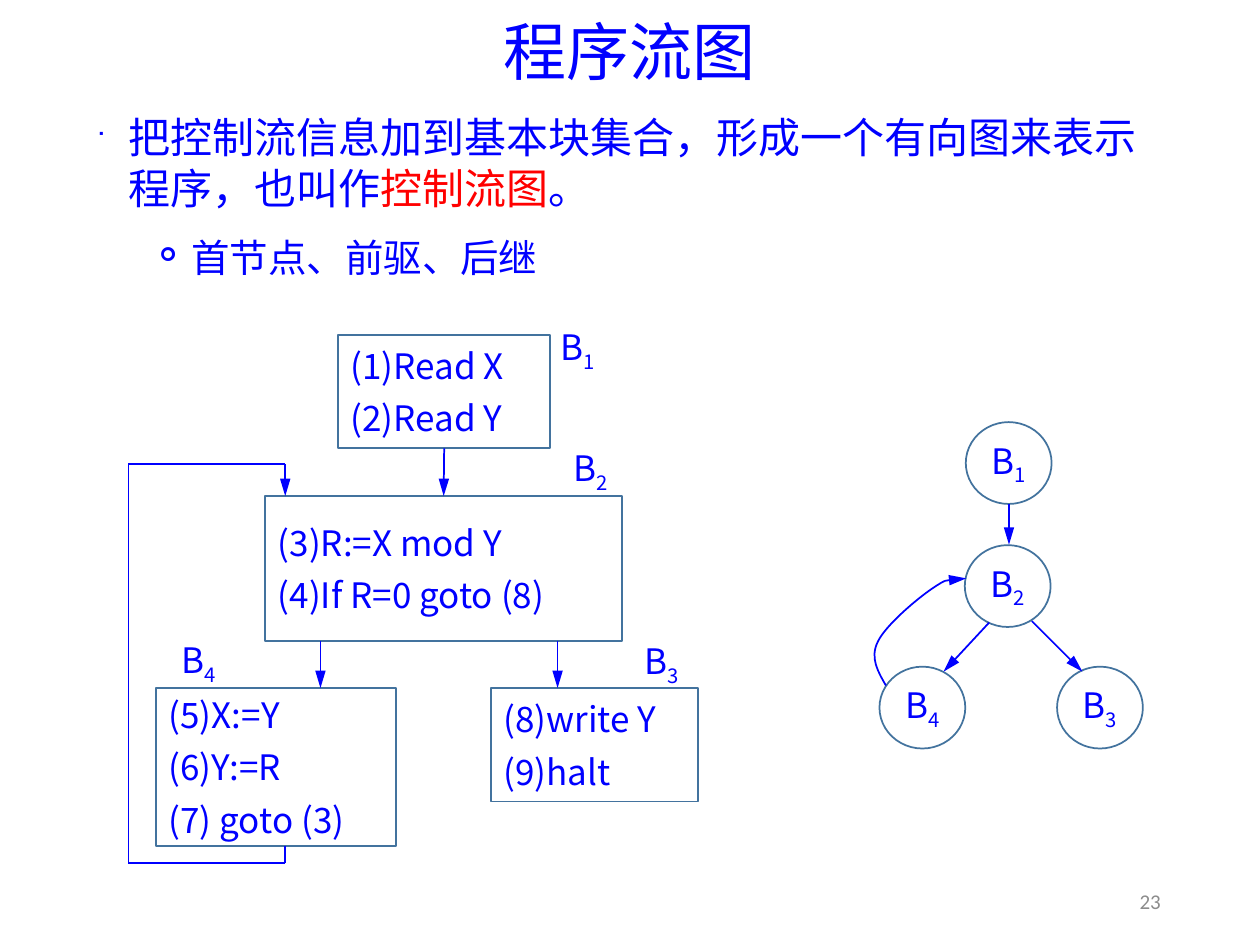
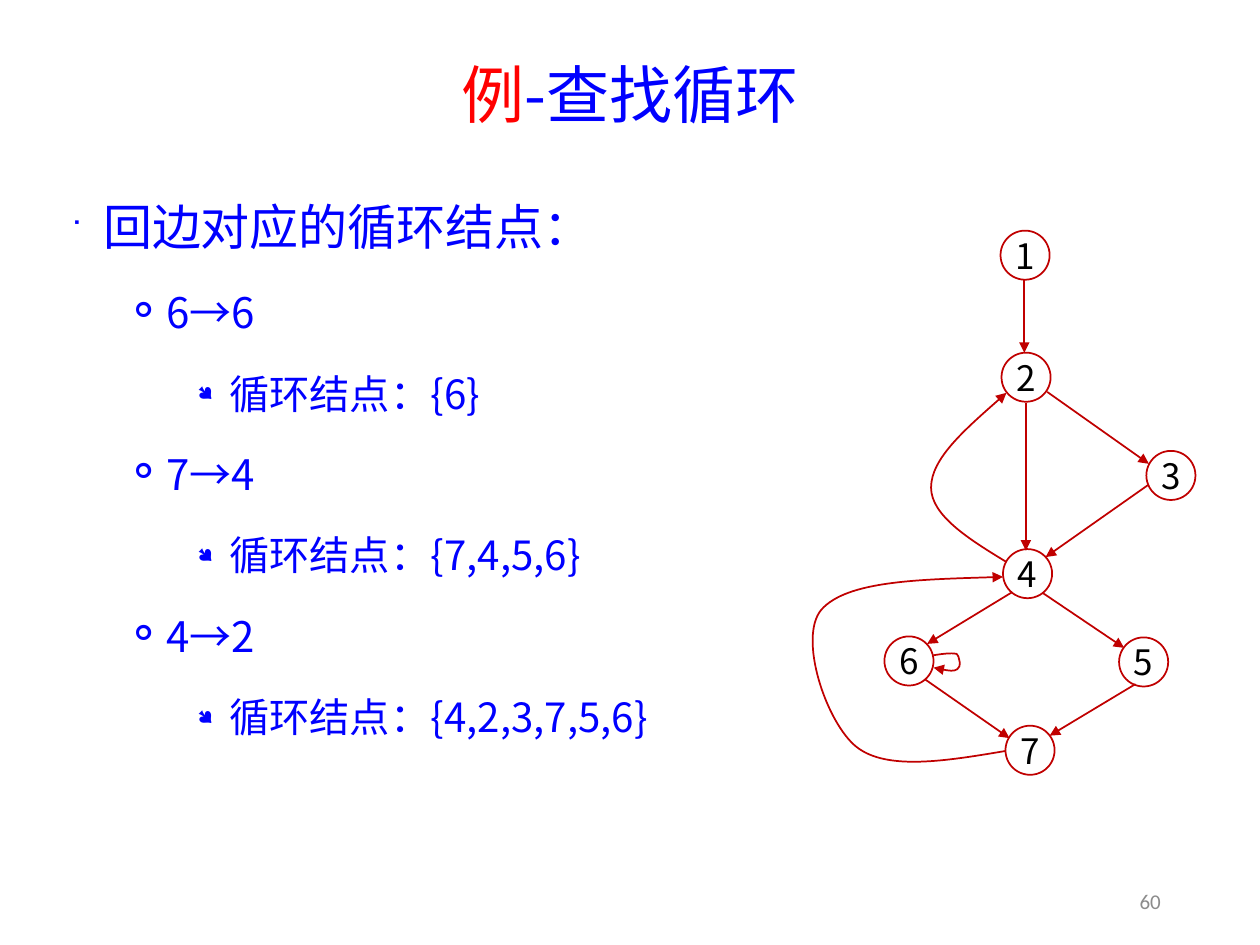
from itertools import pairwise

from lxml.etree import SubElement
from pptx import Presentation
from pptx.dml.color import RGBColor
from pptx.enum.shapes import MSO_CONNECTOR, MSO_SHAPE
from pptx.enum.text import MSO_ANCHOR, PP_ALIGN
from pptx.oxml.ns import qn
from pptx.util import Cm, Pt

BLUE = RGBColor(0x00, 0x00, 0xFF)
RED = RGBColor(0xFF, 0x00, 0x00)
STEEL = RGBColor(0x43, 0x73, 0x9E)
CRIMSON = RGBColor(0xC0, 0x00, 0x00)
GREY = RGBColor(0x8C, 0x8C, 0x8C)
BLACK = RGBColor(0x00, 0x00, 0x00)
TITLE_FONT, TEXT_FONT = "Noto Sans CJK JP", "Noto Sans CJK SC"
BULLETS = "■➢●"


def write(para, spans, size, font=TEXT_FONT):
    """Add (text, colour) spans; a third item marks a subscript."""
    for text, colour, *subscript in spans:
        span = para.add_run()
        span.text = text
        span.font.size = Pt(size)
        span.font.name = font
        span.font.color.rgb = colour
        props = span.font._element
        SubElement(props, qn("a:ea"), typeface=font)
        if subscript:
            props.set("baseline", "-25000")


def outline(shape, colour, head=None):
    """Give a plain 1 pt line without shadow; head is an arrowhead length."""
    shape.line.color.rgb = colour
    shape.line.width = Pt(1)
    if head:
        SubElement(shape.line._ln, qn("a:tailEnd"), type="triangle", len=head)
    SubElement(shape._element.spPr, qn("a:effectLst"))


deck = Presentation()
deck.slide_width, deck.slide_height = Cm(25.4), Cm(19.05)

# Shared frame: title, bulleted body, page number
# title top and height, title spans, body place, space after, body lines, number
frames = [
    (0.25, 1.73, [("程序流图", BLUE)], (1.7, 2.13, 21.89, 4.06), 6,
     [(0, 24, [("把控制流信息加到基本块集合，形成一个有向图来表示程序，也叫作", BLUE),
               ("控制流图", RED), ("。", BLUE)]),
      (1, 22, [("首节点、前驱、后继", BLUE)])], "23"),
    (0.74, 2.46, [("例", RED), ("-查找循环", BLUE)], (1.19, 3.84, 13.51, 12.6), 12,
     [(0, 28, [("回边对应的循环结点：", BLUE)])]
     + [line for edge, loop in [("6→6", "{6}"), ("7→4", "{7,4,5,6}"),
                                ("4→2", "{4,2,3,7,5,6}")]
        for line in [(1, 24, [(edge, BLUE)]),
                     (2, 23, [("循环结点：" + loop, BLUE)])]], "60"),
]
for top, height, title_spans, body_place, after, lines, number in frames:
    page = deck.slides.add_slide(deck.slide_layouts[5])
    title = page.shapes.title
    title.left, title.top = Cm(1.75), Cm(top)
    title.width, title.height = Cm(21.89), Cm(height)
    title.text_frame.vertical_anchor = MSO_ANCHOR.MIDDLE
    para = title.text_frame.paragraphs[0]
    para.alignment = PP_ALIGN.CENTER
    para.line_spacing = 0.9
    write(para, title_spans, 36, TITLE_FONT)

    body = page.shapes.add_textbox(*map(Cm, body_place)).text_frame
    body.word_wrap = True
    for index, (level, size, spans) in enumerate(lines):
        para = body.add_paragraph() if index else body.paragraphs[0]
        props = para._p.get_or_add_pPr()
        props.set("marL", str(Cm(0.64 + 1.27 * level)))
        props.set("indent", str(-Cm(0.64)))
        SubElement(props, qn("a:buSzPct"), val="50000")
        SubElement(props, qn("a:buFont"), typeface="Wingdings")
        SubElement(props, qn("a:buChar"), char=BULLETS[level])
        para.level = level
        para.space_before = Pt(6 if index else 0)
        para.space_after = Pt(after)
        write(para, spans, size)

    box = page.shapes.add_textbox(Cm(17.93), Cm(17.65), Cm(5.72), Cm(1.02))
    box.text_frame.vertical_anchor = MSO_ANCHOR.MIDDLE
    box.text_frame.word_wrap = True
    para = box.text_frame.paragraphs[0]
    para.alignment = PP_ALIGN.RIGHT
    write(para, [(number, GREY)], 12, "Calibri")

flow_page, loop_page = deck.slides

# Flow chart: basic blocks with their code, and the label beside each
blocks = {
    "1": ((6.82, 6.75, 4.27, 2.29), (11.05, 6.43), ["(1)Read X", "(2)Read Y"]),
    "2": ((5.35, 10, 7.19, 2.92), (11.32, 8.87),
          ["(3)R:=X mod Y", "(4)If R=0 goto (8)"]),
    "3": ((9.9, 13.87, 4.17, 2.29), (12.75, 12.76), ["(8)write Y", "(9)halt"]),
    "4": ((3.15, 13.87, 4.83, 3.18), (3.4, 12.74),
          ["(5)X:=Y", "(6)Y:=R", "(7) goto (3)"]),
}
block_shapes = {}
for name, (place, label_place, code) in blocks.items():
    block = flow_page.shapes.add_shape(MSO_SHAPE.RECTANGLE, *map(Cm, place))
    block_shapes[name] = block
    block.fill.background()
    outline(block, STEEL)
    block.text_frame.vertical_anchor = MSO_ANCHOR.MIDDLE
    for index, line in enumerate(code):
        paras = block.text_frame
        para = paras.add_paragraph() if index else paras.paragraphs[0]
        para.alignment = PP_ALIGN.LEFT
        para.space_after = Pt(6)
        write(para, [(line, BLUE)], 20)

    label = flow_page.shapes.add_textbox(*map(Cm, label_place), Cm(1.37), Cm(1.22))
    label.text_frame.vertical_anchor = MSO_ANCHOR.MIDDLE
    label.text_frame.word_wrap = True
    write(label.text_frame.paragraphs[0], [("B", BLUE), (name, BLUE, True)], 20)

block_arrow = flow_page.shapes.add_connector(MSO_CONNECTOR.STRAIGHT, 0, 0, 0, 0)
block_arrow.begin_connect(block_shapes["1"], 2)
block_arrow.end_connect(block_shapes["2"], 0)
outline(block_arrow, BLUE, "lg")

# Graph nodes on both slides
flow_nodes = {"1": (19.47, 8.51), "2": (19.45, 10.99), "3": (21.31, 13.44),
              "4": (17.73, 13.44)}
loop_nodes = {"1": (20.17, 4.65), "2": (20.19, 7.11), "3": (23.11, 9.09),
              "4": (20.22, 11.07), "5": (22.56, 12.85), "6": (17.83, 12.83),
              "7": (20.27, 14.63)}
for page, nodes, size, prefix, line_colour, text_colour in [
        (flow_page, flow_nodes, (1.73, 1.65), [("B", BLUE)], STEEL, BLUE),
        (loop_page, loop_nodes, (0.99, 0.99), [], CRIMSON, BLACK)]:
    for name, corner in nodes.items():
        node = page.shapes.add_shape(MSO_SHAPE.OVAL, *map(Cm, corner + size))
        node.fill.background()
        outline(node, line_colour)
        frame = node.text_frame
        frame.margin_left = frame.margin_right = 0
        frame.margin_top = frame.margin_bottom = 0
        frame.word_wrap = False
        frame.vertical_anchor = MSO_ANCHOR.MIDDLE
        para = frame.paragraphs[0]
        para.alignment = PP_ALIGN.CENTER
        digit = (name, text_colour, True) if prefix else (name, text_colour)
        write(para, prefix + [digit], 20)

# Straight edges: each route ends in an arrowhead
flow_routes = [
    [(6.46, 12.93), (6.46, 13.87)],
    [(11.24, 12.93), (11.24, 13.87)],
    [(5.75, 17.05), (5.75, 17.4), (2.59, 17.4), (2.59, 9.36), (5.75, 9.36),
     (5.75, 10)],
    [(20.34, 10.17), (20.34, 10.98)],
    [(19.94, 12.55), (19.02, 13.54)],
    [(20.8, 12.52), (21.82, 13.54)],
]
loop_routes = [
    [(20.65, 5.64), (20.65, 7.11)],
    [(20.68, 8.13), (20.68, 11.1)],
    [(21.11, 7.9), (23.16, 9.35)],
    [(23.14, 9.78), (21.08, 11.23)],
    [(20.4, 11.94), (18.69, 12.98)],
    [(21.03, 11.96), (22.66, 13.06)],
    [(18.64, 13.69), (20.35, 14.88)],
    [(22.89, 13.79), (21.16, 14.83)],
]
# Curved edges: a start, then two control points and an end per segment
flow_curves = [
    [(17.86, 13.82), (17.7, 13.54), (17.53, 13.26), (17.7, 12.93),
     (17.86, 12.6), (18.49, 12.07), (18.8, 11.86),
     (19.1, 11.66), (19.28, 11.66), (19.48, 11.66)],
]
loop_curves = [
    [(20.29, 11.33), (19.53, 10.87), (18.77, 10.39), (18.77, 9.83),
     (18.77, 9.25), (19.53, 8.59), (20.29, 7.92)],
    [(20.27, 15.14), (19.08, 15.34), (17.88, 15.54), (17.27, 15.06),
     (16.66, 14.58), (16.08, 12.85), (16.56, 12.29),
     (17.07, 11.71), (18.64, 11.68), (20.22, 11.63)],
    [(18.82, 13.21), (19, 13.18), (19.18, 13.16), (19.28, 13.18),
     (19.35, 13.23), (19.38, 13.46), (19.3, 13.49),
     (19.23, 13.54), (19.02, 13.51), (18.82, 13.46)],
]
for page, routes, curves, colour, head in [
        (flow_page, flow_routes, flow_curves, BLUE, "lg"),
        (loop_page, loop_routes, loop_curves, CRIMSON, "med")]:
    for route in routes:
        for start, end in pairwise(route):
            edge = page.shapes.add_connector(
                MSO_CONNECTOR.STRAIGHT, *map(Cm, start + end))
            outline(edge, colour, head if end == route[-1] else None)

    for curve in curves:
        start, *points = [(Cm(x), Cm(y)) for x, y in curve]
        builder = page.shapes.build_freeform(*start)
        builder.add_line_segments(points, close=False)
        edge = builder.convert_to_shape()
        edge.fill.background()
        outline(edge, colour, head)
        # Turn every three line steps into one Bézier segment
        steps = list(edge._element.iter(qn("a:lnTo")))
        outline_path = steps[0].getparent()
        for first in range(0, len(steps), 3):
            segment = SubElement(outline_path, qn("a:cubicBezTo"))
            for step in steps[first:first + 3]:
                segment.append(step[0])
                outline_path.remove(step)

deck.save("out.pptx")
